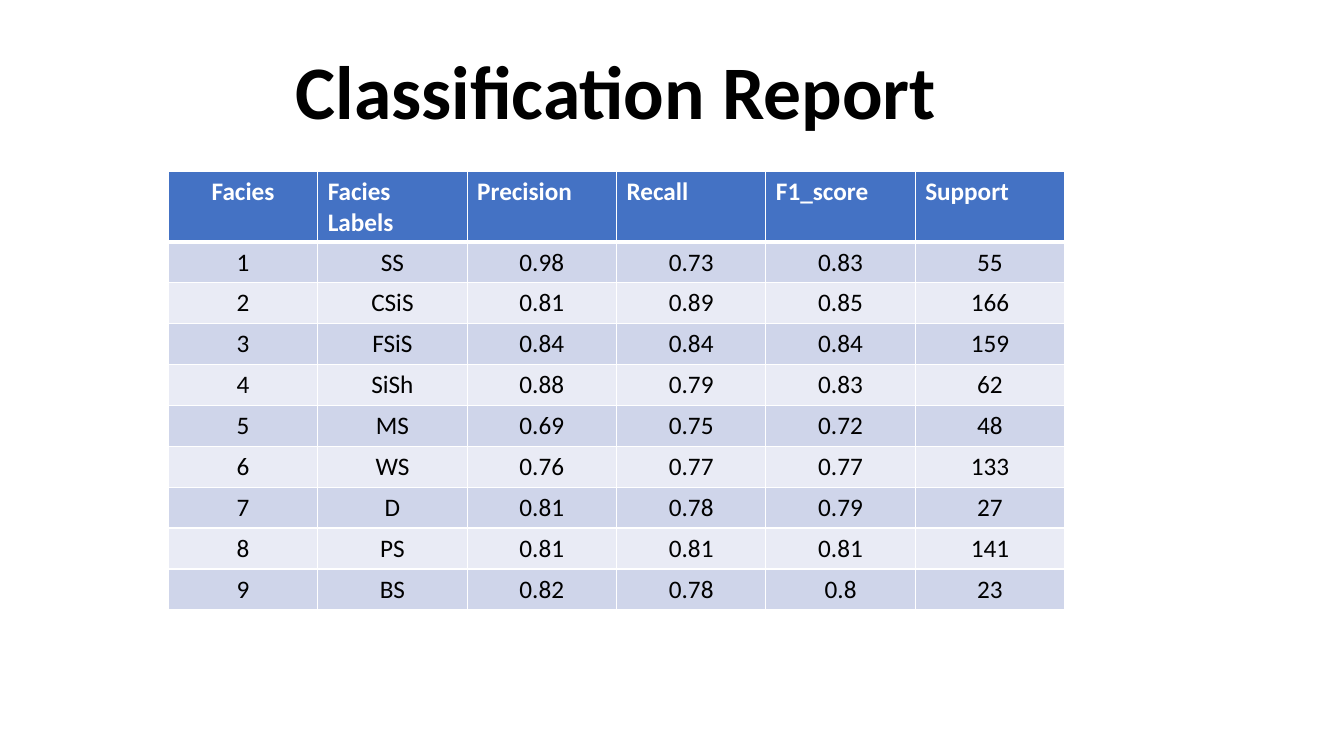
"""Build the Classification Report slide with its table of scores per facies."""
from lxml import etree
from pptx import Presentation
from pptx.dml.color import RGBColor
from pptx.enum.text import MSO_ANCHOR, PP_ALIGN
from pptx.oxml.ns import qn
from pptx.util import Inches, Pt

CENTER, LEFT = PP_ALIGN.CENTER, PP_ALIGN.LEFT
BOTTOM = MSO_ANCHOR.BOTTOM
HEADER_FILL, BAND_FILLS = "4472C4", ("CFD5EA", "E9EBF5")
WHITE, BLACK = "FFFFFF", "000000"
ROWS = [
    ("Facies", "Facies Labels", "Precision", "Recall", "F1_score", "Support"),
    ("1", "SS", "0.98", "0.73", "0.83", "55"),
    ("2", "CSiS", "0.81", "0.89", "0.85", "166"),
    ("3", "FSiS", "0.84", "0.84", "0.84", "159"),
    ("4", "SiSh", "0.88", "0.79", "0.83", "62"),
    ("5", "MS", "0.69", "0.75", "0.72", "48"),
    ("6", "WS", "0.76", "0.77", "0.77", "133"),
    ("7", "D", "0.81", "0.78", "0.79", "27"),
    ("8", "PS", "0.81", "0.81", "0.81", "141"),
    ("9", "BS", "0.82", "0.78", "0.8", "23"),
]
LEFT_EDGE, TOP_EDGE, WIDTH = 1.67, 1.7, 8.89
HEADER_HEIGHT, BODY_HEIGHT = 0.7, 3.65


def rgb(color):
    return RGBColor.from_string(color)


def add_run(p, text, size, color, bold, align):
    p.alignment = align
    r = p.add_run()
    r.text = text
    r.font.name = "Calibri"
    r.font.size = Pt(size)
    r.font.bold = bold
    r.font.color.rgb = rgb(color)


prs = Presentation()
prs.slide_width, prs.slide_height = Inches(13.33), Inches(7.5)
s = prs.slides.add_slide(prs.slide_layouts[6])

title = s.shapes.add_textbox(Inches(1.11), Inches(0.52), Inches(10), Inches(0.88))
tf = title.text_frame
tf.word_wrap = True
tf.vertical_anchor = BOTTOM
p = tf.paragraphs[0]
p.line_spacing = 0.9
add_run(p, "Classification Report", 54, BLACK, True, CENTER)

table = s.shapes.add_table(
    len(ROWS), len(ROWS[0]), Inches(LEFT_EDGE), Inches(TOP_EDGE),
    Inches(WIDTH), Inches(HEADER_HEIGHT + BODY_HEIGHT)).table
for column in table.columns:
    column.width = Inches(WIDTH / len(ROWS[0]))

for i, values in enumerate(ROWS):
    header = i == 0
    table.rows[i].height = Inches(HEADER_HEIGHT if header else BODY_HEIGHT / (len(ROWS) - 1))
    for j, value in enumerate(values):
        cell = table.cell(i, j)
        tcPr = cell._tc.get_or_add_tcPr()
        widths = {"L": 1, "R": 1, "T": 3 if i == 1 else 1, "B": 3 if header else 1}
        for side, width in widths.items():
            ln = etree.SubElement(tcPr, qn("a:ln" + side), w=str(Pt(width)))
            line_fill = etree.SubElement(ln, qn("a:solidFill"))
            etree.SubElement(line_fill, qn("a:srgbClr"), val=WHITE)
        cell.fill.solid()
        cell.fill.fore_color.rgb = rgb(HEADER_FILL if header else BAND_FILLS[(i - 1) % 2])
        add_run(cell.text_frame.paragraphs[0], value, 18, WHITE if header else BLACK,
                header, LEFT if header and j else CENTER)

prs.save("out.pptx")
